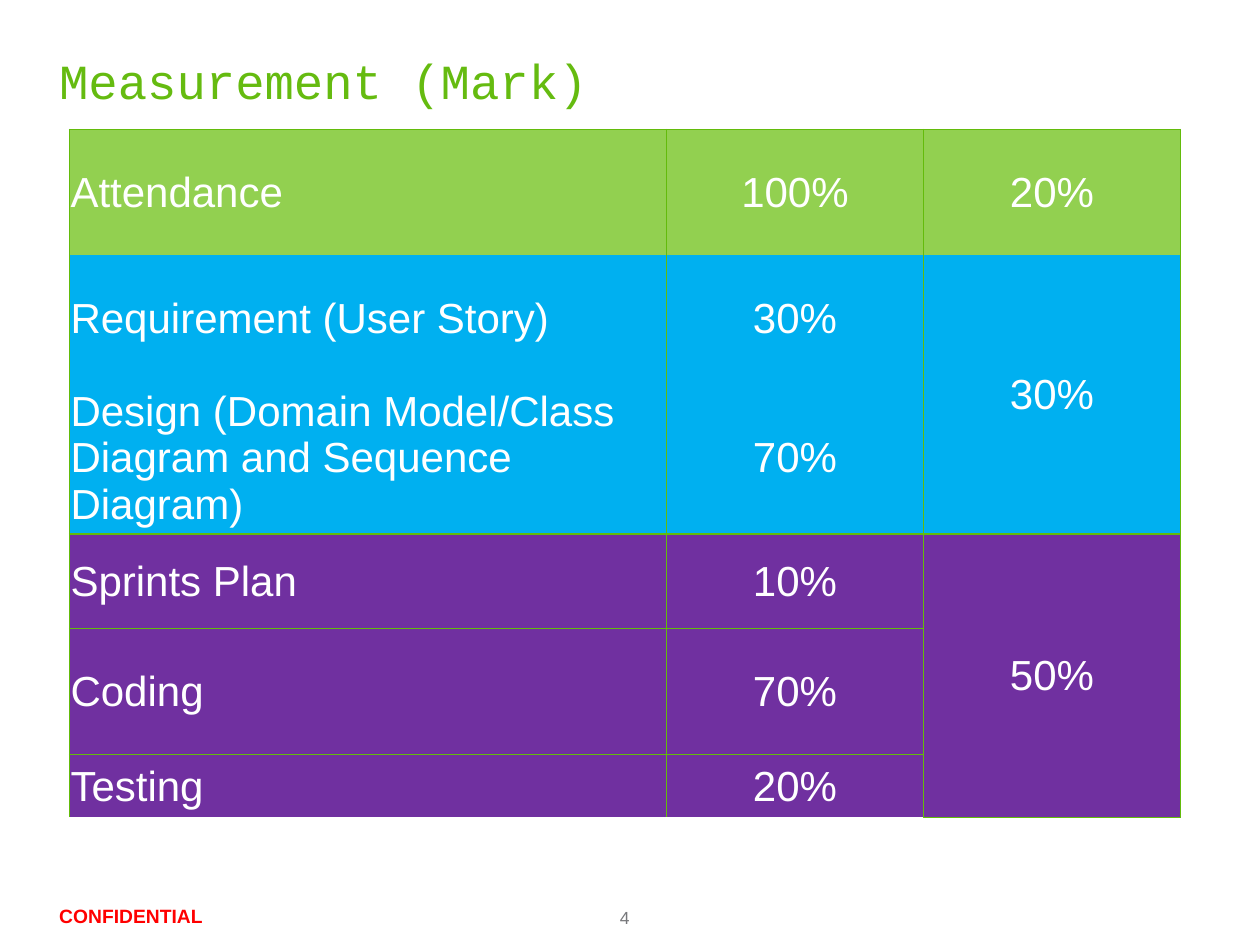
from lxml.etree import SubElement
from pptx import Presentation
from pptx.dml.color import RGBColor
from pptx.enum.text import MSO_ANCHOR, PP_ALIGN
from pptx.oxml.ns import qn
from pptx.util import Inches, Pt

HUES = {
    "title": "65BB10", "line": "63BB0B", "white": "FFFFFF",
    "green": "92D050", "blue": "00B0F0", "violet": "7030A0",
    "red": "FF0000", "grey": "77787B",
}
WIDE, HIGH = 10, 7.5

# Mark groups: fill, weight of the group, items as (name, share, row height)
GROUPS = [
    ("green", "20%", [("Attendance", "100%", 1)]),
    ("blue", "30%", [
        ("Requirement (User Story)", "30%", 1),
        ("Design (Domain Model/Class Diagram and Sequence Diagram)", "70%", 1.19),
    ]),
    ("violet", "50%", [
        ("Sprints Plan", "10%", 0.75),
        ("Coding", "70%", 1),
        ("Testing", "20%", 0.5),
    ]),
]
RULED = {0, 3, 4, 5}  # row edges that carry a line


class Deck:
    def __init__(self):
        self.prs = Presentation()
        self.prs.slide_width = Inches(WIDE)
        self.prs.slide_height = Inches(HIGH)
        self.slide = self.prs.slides.add_slide(self.prs.slide_layouts[6])

    def box(self, x, y, w, h):
        """Turn shares of the slide into lengths."""
        return [Inches(n) for n in (x * WIDE, y * HIGH, w * WIDE, h * HIGH)]

    def style(self, para, size, hue, face="Arial", bold=False):
        font = para.font
        font.size, font.name, font.bold = Pt(size), face, bold
        font.color.rgb = RGBColor.from_string(HUES[hue])

    def text(self, words, area, size, hue, face="Arial", bold=False, lead=None):
        frame = self.slide.shapes.add_textbox(*self.box(*area)).text_frame
        frame.word_wrap = True
        frame.margin_left = frame.margin_right = 0
        frame.margin_top = frame.margin_bottom = 0
        frame.vertical_anchor = MSO_ANCHOR.TOP if lead else MSO_ANCHOR.MIDDLE
        para = frame.paragraphs[0]
        para.text = words
        if lead:
            para.line_spacing = Pt(lead)
        self.style(para, size, hue, face, bold)

    def edge(self, cell, side, shown):
        line = SubElement(cell._tc.get_or_add_tcPr(), qn("a:ln" + side), w=str(Pt(0.75)))
        if shown:
            fill = SubElement(line, qn("a:solidFill"))
            SubElement(fill, qn("a:srgbClr"), val=HUES["line"])
        else:
            SubElement(line, qn("a:noFill"))

    def cell(self, cell, words, hue, row, col):
        cell.text = words
        cell.vertical_anchor = MSO_ANCHOR.MIDDLE
        cell.margin_left = cell.margin_right = cell.margin_top = Inches(0.01)
        cell.margin_bottom = 0
        para = cell.text_frame.paragraphs[0]
        para.alignment = PP_ALIGN.CENTER if col else PP_ALIGN.LEFT
        self.style(para, 24, "white")
        for side, shown in (("L", True), ("R", True),
                            ("T", row in RULED), ("B", row + 1 in RULED)):
            self.edge(cell, side, shown)
        cell.fill.solid()
        cell.fill.fore_color.rgb = RGBColor.from_string(HUES[hue])

    def table(self, groups, area, cols):
        highs = [high for _, _, items in groups for _, _, high in items]
        grid = self.slide.shapes.add_table(len(highs), len(cols), *self.box(*area)).table
        grid.first_row = grid.horz_banding = False
        for col, wide in zip(grid.columns, cols):
            col.width = Inches(wide)
        for row, high in zip(grid.rows, highs):
            row.height = Inches(high)
        top = 0
        for hue, weight, items in groups:
            for step, (name, share, _) in enumerate(items):
                row = top + step
                for col, words in enumerate((name, share, "" if step else weight)):
                    self.cell(grid.cell(row, col), words, hue, row, col)
            if len(items) > 1:
                grid.cell(top, 2).merge(grid.cell(top + len(items) - 1, 2))
            top += len(items)


def main():
    deck = Deck()
    # Footer
    deck.text("4", (0.492, 0.95, 0.118, 0.028), 10, "grey", lead=17)
    deck.text("CONFIDENTIAL", (0.047, 0.95, 0.145, 0.028), 11, "red", bold=True, lead=17)
    # Title
    deck.text("Measurement (Mark)", (0.047, 0.047, 0.906, 0.076), 28, "title", "Courier New")
    # Marks
    deck.table(GROUPS, (0.055, 0.137, 0.882, 0.725), (4.74, 2.04, 2.04))
    deck.prs.save("out.pptx")


if __name__ == "__main__":
    main()
